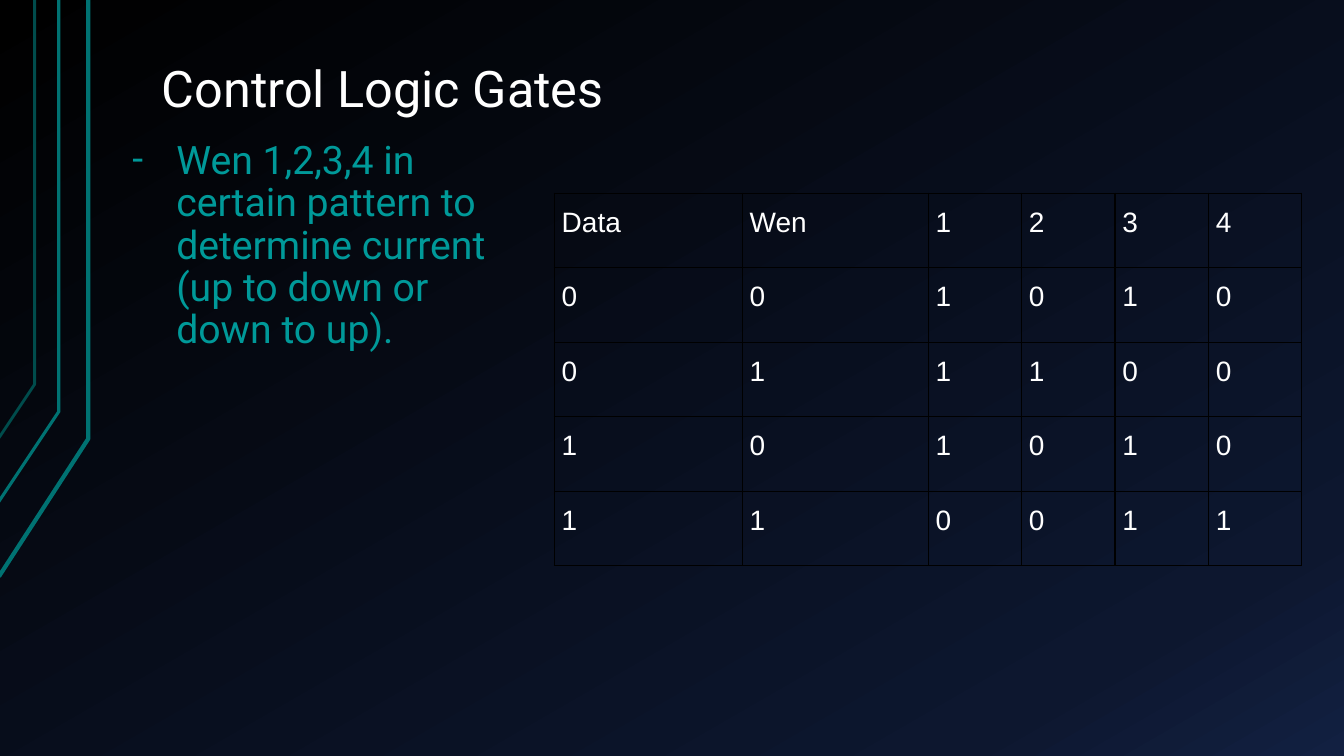
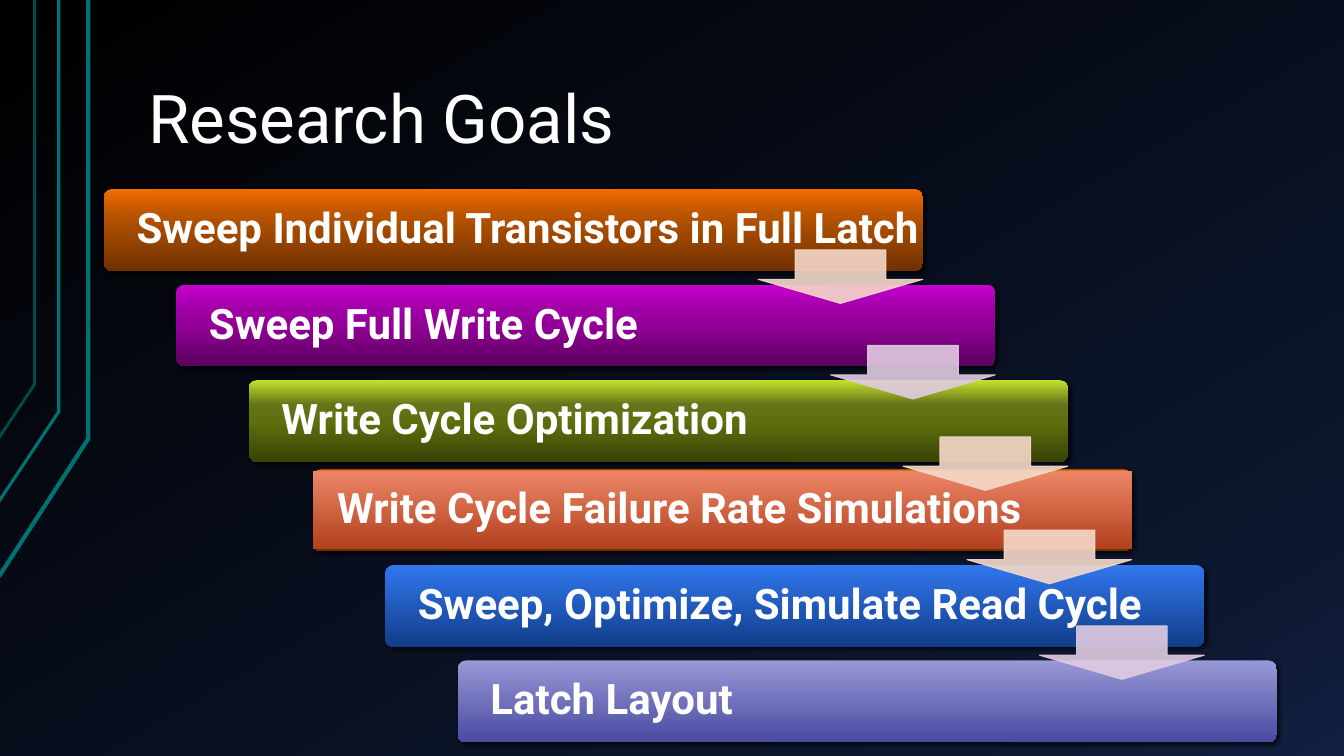
import lxml.etree
import pptx
import pptx.dml.color
import pptx.enum.shapes
import pptx.enum.text
import pptx.oxml.ns
import pptx.util

RGB = pptx.dml.color.RGBColor.from_string
SHAPES = pptx.enum.shapes.MSO_SHAPE
ANCHOR = pptx.enum.text.MSO_ANCHOR
LEFT = pptx.enum.text.PP_ALIGN.LEFT
qn = pptx.oxml.ns.qn

EMU_PER_PX = 9525

WHITE = RGB("FFFFFF")
BLACK = RGB("000000")
TEAL = RGB("009999")
TRACE = RGB("007272")
TRACE_DARK = RGB("004C4C")
PEACH = RGB("F5D9C9")
LILAC = RGB("E0CBE1")

BACKGROUND = [(0, BLACK), (85, RGB("0D172F")), (100, RGB("122041"))]
ORANGE = [(0, RGB("F26D00")), (30, RGB("BC5500")), (50, RGB("A44A00")), (100, RGB("703000"))]
PURPLE = [(0, RGB("C800CE")), (30, RGB("A100A7")), (50, RGB("920097")), (100, RGB("5A005E"))]
OLIVE = [(0, RGB("C5E22B")), (30, RGB("65741A")), (50, RGB("5F6F0F")), (100, RGB("394404"))]
CORAL = [(0, RGB("EC8566")), (100, RGB("B2411E"))]
BLUE = [(0, RGB("3177EE")), (100, RGB("113D8A"))]
VIOLET = [(0, RGB("9898D7")), (100, RGB("4A4AA1"))]

TRACES = [
    ([(-1, 549), (84, 418), (84, 0)], TRACE, 3),
    ([(-2, 479), (56, 392), (56, 0)], TRACE, 2.25),
    ([(-1, 417), (33, 366), (33, 0)], TRACE_DARK, 2),
]

TRUTH_TABLE = [
    ["Data", "Wen", "1", "2", "3", "4"],
    ["0", "0", "1", "0", "1", "0"],
    ["0", "1", "1", "1", "0", "0"],
    ["1", "0", "1", "0", "1", "0"],
    ["1", "1", "0", "0", "1", "1"],
]
COLUMN_WIDTHS = [179, 177, 89, 89, 89, 89]
ROW_HEIGHT = 71

BAR_WIDTH, BAR_HEIGHT = 780, 78
BAR_STEP_X, BAR_STEP_Y = 69, 91
ARROW_WIDTH, ARROW_HEIGHT = 157, 51
GOAL_GROUPS = [
    (99, 180, [
        ("Sweep Individual Transistors in Full Latch", ORANGE, PEACH, 58),
        ("Sweep Full Write Cycle", PURPLE, LILAC, 58),
        ("Write Cycle Optimization", OLIVE, PEACH, 54),
    ]),
    (298, 447, [
        ("Write Cycle Failure Rate Simulations", CORAL, PEACH, 58),
        ("Sweep, Optimize, Simulate Read Cycle", BLUE, LILAC, 58),
        ("Latch Layout", VIOLET, None, 0),
    ]),
]


def px(value):
    return pptx.util.Emu(value * EMU_PER_PX)


def box(*lengths):
    return [px(length) for length in lengths]


def apply_format(target, values):
    for name, value in values.items():
        setattr(target, name, value)


def add_element(parent, tag, **attributes):
    values = {name: str(value) for name, value in attributes.items()}
    return lxml.etree.SubElement(parent, qn(tag), values)


def set_gradient(fill, owner, stops, angle=90):
    fill.gradient()
    gradient = next(owner.iter(qn("a:gradFill")))
    for child in list(gradient):
        gradient.remove(child)
    stop_list = add_element(gradient, "a:gsLst")
    for position, color in stops:
        stop = add_element(stop_list, "a:gs", pos=position * 1000)
        add_element(stop, "a:srgbClr", val=color)
    add_element(gradient, "a:lin", ang=angle * 60000, scaled=0)


def write_text(frame, text, size, color, inset, anchor=ANCHOR.TOP, font="Roboto", bold=False):
    margins = {f"margin_{side}": px(inset) for side in ("left", "top", "right", "bottom")}
    apply_format(frame, {
        "word_wrap": True,
        "auto_size": pptx.enum.text.MSO_AUTO_SIZE.NONE,
        "vertical_anchor": anchor,
        **margins,
    })
    paragraph = frame.paragraphs[0]
    apply_format(paragraph, {"alignment": LEFT, "line_spacing": 0.9, "space_before": 0})
    run = paragraph.add_run()
    run.text = text
    apply_format(run.font, {"name": font, "size": pptx.util.Pt(size), "bold": bold})
    run.font.color.rgb = color
    return paragraph


def add_trace(slide, points, color, width):
    corners = [tuple(box(*point)) for point in points]
    builder = slide.shapes.build_freeform(*corners[0])
    builder.add_line_segments(corners[1:], close=False)
    shape = builder.convert_to_shape()
    shape.shadow.inherit = False
    shape.fill.background()
    shape.line.color.rgb = color
    shape.line.width = pptx.util.Pt(width)


def add_titled_slide(presentation, title, position, size):
    slide = presentation.slides.add_slide(presentation.slide_layouts.get_by_name("Title Only"))
    for trace in TRACES:
        add_trace(slide, *trace)
    shape = slide.shapes.title
    apply_format(shape, dict(zip(("left", "top", "width", "height"), box(*position))))
    write_text(shape.text_frame, title, size, WHITE, 10, ANCHOR.BOTTOM)
    return slide


def add_dash_item(slide, text, position):
    shape = slide.shapes.add_textbox(*box(*position))
    paragraph = write_text(shape.text_frame, text, 28, TEAL, 10)
    properties = paragraph._p.get_or_add_pPr()
    properties.set("marL", str(px(48)))
    properties.set("indent", str(px(-42)))
    add_element(add_element(properties, "a:buClr"), "a:srgbClr", val=TEAL)
    add_element(properties, "a:buFont", typeface="Roboto")
    add_element(properties, "a:buChar", char="-")


def format_cell(cell, text):
    properties = cell._tc.get_or_add_tcPr()
    for side in ("L", "R", "T", "B"):
        border = add_element(properties, f"a:ln{side}", w=pptx.util.Pt(1))
        add_element(add_element(border, "a:solidFill"), "a:srgbClr", val=BLACK)
    cell.fill.background()
    margins = {f"margin_{side}": px(7) for side in ("left", "top", "right", "bottom")}
    apply_format(cell, margins)
    paragraph = cell.text_frame.paragraphs[0]
    paragraph.line_spacing = 1.2
    run = paragraph.add_run()
    run.text = text
    apply_format(run.font, {"name": "Arial", "size": pptx.util.Pt(20), "bold": False})
    run.font.color.rgb = WHITE


def add_truth_table(slide, left, top):
    size = box(left, top, sum(COLUMN_WIDTHS), ROW_HEIGHT * len(TRUTH_TABLE))
    table = slide.shapes.add_table(len(TRUTH_TABLE), len(COLUMN_WIDTHS), *size).table
    apply_format(table, {"first_row": False, "horz_banding": False})
    for column, width in zip(table.columns, COLUMN_WIDTHS):
        column.width = px(width)
    for row, texts in zip(table.rows, TRUTH_TABLE):
        row.height = px(ROW_HEIGHT)
        for cell, text in zip(row.cells, texts):
            format_cell(cell, text)


def add_panel(slide, kind, position, stops):
    shape = slide.shapes.add_shape(kind, *box(*position))
    shape.shadow.inherit = False
    set_gradient(shape.fill, shape._element.spPr, stops)
    shape.line.fill.background()
    return shape


def add_bar(slide, left, top, stops):
    bar = add_panel(slide, SHAPES.ROUNDED_RECTANGLE, (left, top, BAR_WIDTH, BAR_HEIGHT), stops)
    bar.adjustments[0] = 0.1
    effects = bar._element.spPr.find(qn("a:effectLst"))
    shadow = add_element(effects, "a:outerShdw", blurRad=pptx.util.Pt(3),
                         dist=pptx.util.Pt(2), dir=45 * 60000)
    add_element(add_element(shadow, "a:srgbClr", val=BLACK), "a:alpha", val=60000)


def add_goal(slide, left, top, text, stops):
    if stops is CORAL:
        add_bar(slide, left, top, ORANGE)
        label = add_panel(slide, SHAPES.RECTANGLE, (left, top + 2, BAR_WIDTH, 74), stops)
    else:
        add_bar(slide, left, top, stops)
        label = slide.shapes.add_textbox(*box(left + 8, top + 2, 806, 74))
    write_text(label.text_frame, text, 30, WHITE, 23, ANCHOR.MIDDLE, bold=True)


def add_arrow(slide, left, top, color):
    arrow = slide.shapes.add_shape(SHAPES.DOWN_ARROW, *box(left, top, ARROW_WIDTH, ARROW_HEIGHT))
    arrow.adjustments[0] = 0.55
    arrow.adjustments[1] = 0.45
    arrow.shadow.inherit = False
    arrow.fill.solid()
    arrow.fill.fore_color.rgb = color
    arrow.line.color.rgb = color
    arrow.line.width = pptx.util.Pt(0.75)
    for paint in arrow._element.spPr.iter(qn("a:srgbClr")):
        add_element(paint, "a:alpha", val=90000)


def add_goal_cascade(slide):
    arrows = []
    for left, top, goals in GOAL_GROUPS:
        for index, (text, stops, arrow_color, drop) in enumerate(goals):
            x = left + index * BAR_STEP_X
            y = top + index * BAR_STEP_Y
            add_goal(slide, x, y, text, stops)
            if arrow_color is not None:
                arrows.append((x + BAR_WIDTH - ARROW_WIDTH, y + drop, arrow_color))
    for arrow in arrows:
        add_arrow(slide, *arrow)


def main():
    presentation = pptx.Presentation()
    apply_format(presentation, {"slide_width": px(1280), "slide_height": px(720)})
    master = presentation.slide_master
    set_gradient(master.background.fill, master._element, BACKGROUND, 60)

    gates = add_titled_slide(presentation, "Control Logic Gates", (144, 45, 1088, 78), 36)
    add_dash_item(
        gates,
        "Wen 1,2,3,4 in certain pattern to determine current (up to down or down to up).",
        (110, 124, 383, 274),
    )
    add_truth_table(gates, 528, 184)

    goals = add_titled_slide(presentation, "Research Goals", (131, 32, 1082, 129), 48)
    add_goal_cascade(goals)

    presentation.save("out.pptx")


if __name__ == "__main__":
    main()
